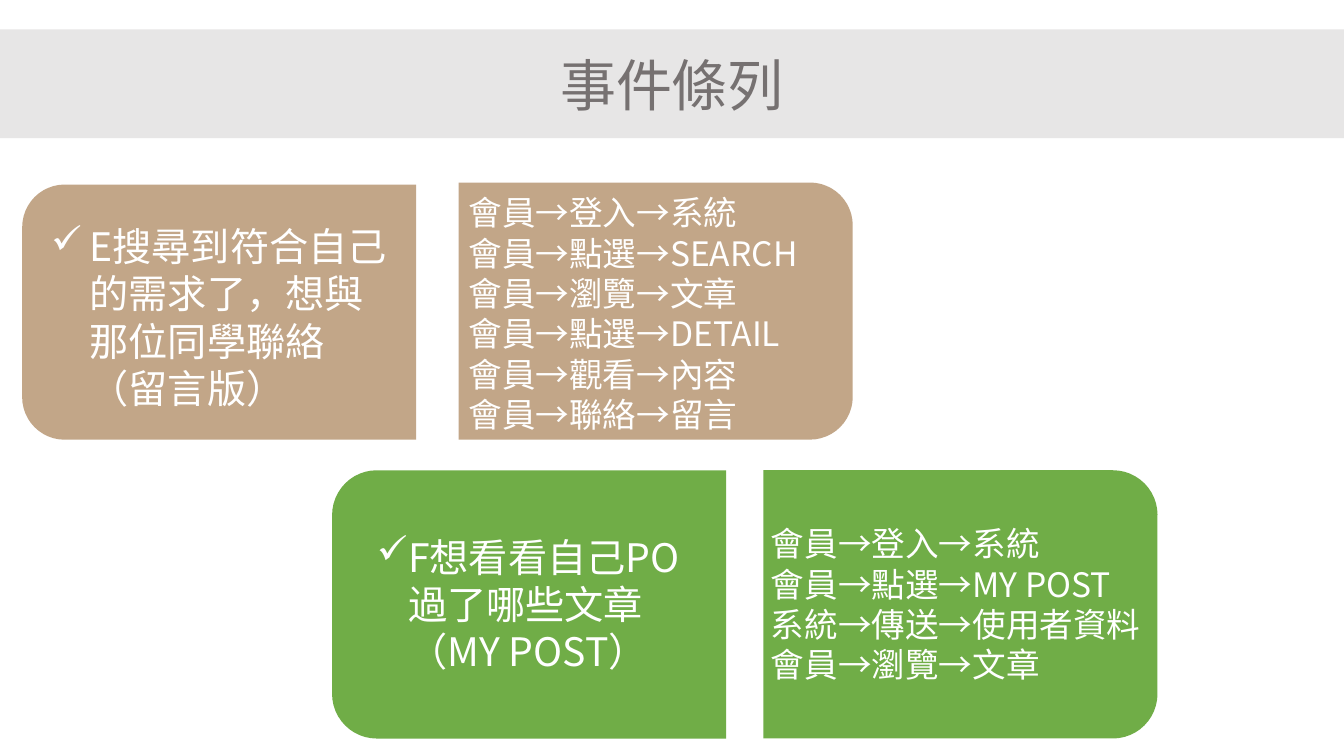
from pptx import Presentation
from pptx.dml.color import RGBColor
from pptx.enum.shapes import MSO_SHAPE
from pptx.enum.text import MSO_ANCHOR, MSO_AUTO_SIZE, PP_ALIGN
from pptx.oxml.ns import qn
from pptx.util import Cm, Pt
from lxml import etree

RECT = MSO_SHAPE.RECTANGLE
ROUND = MSO_SHAPE.ROUND_2_SAME_RECTANGLE
MIDDLE = MSO_ANCHOR.MIDDLE
CENTER = PP_ALIGN.CENTER
GROW = MSO_AUTO_SIZE.SHAPE_TO_FIT_TEXT

WHITE, GRAY, DARK = "FFFFFF", "E7E6E6", "767171"
TAN, GREEN = "C2A688", "70AD47"
WIDTH = 9.93


def color(value):
    return RGBColor.from_string(value)


class Deck:
    font = "Noto Sans CJK SC"

    def __init__(self):
        self.prs = Presentation()
        self.prs.slide_width = Cm(33.87)
        self.prs.slide_height = Cm(19.05)
        self.slide = self.prs.slides.add_slide(self.prs.slide_layouts[6])

    def shape(self, kind, box, fill):
        item = self.slide.shapes.add_shape(kind, *map(Cm, box))
        item.shadow.inherit = False
        item.fill.solid()
        item.fill.fore_color.rgb = color(fill)
        item.line.fill.background()
        return item

    def card(self, left, top, height, turn, fill):
        shift = (WIDTH - height) / 2
        item = self.shape(ROUND, (left + shift, top - shift, height, WIDTH), fill)
        item.rotation = turn

    def style(self, para, text, size, tint):
        run = para.add_run()
        run.text = text
        look = {"name": self.font, "size": Pt(size)}
        for key, value in look.items():
            setattr(run.font, key, value)
        run.font.color.rgb = color(tint)
        face = etree.SubElement(run.font._element, qn("a:ea"))
        face.set("typeface", self.font)

    def bullet(self, para, indent):
        props = para._p.get_or_add_pPr()
        props.set("marL", str(Cm(indent)))
        props.set("indent", str(-Cm(indent)))
        mark = etree.SubElement(props, qn("a:buChar"))
        mark.set("char", "✓")

    def title(self, box, text):
        frame = self.shape(RECT, box, GRAY).text_frame
        frame.vertical_anchor = MIDDLE
        para = frame.paragraphs[0]
        para.alignment = CENTER
        self.style(para, text, 40, DARK)

    def text(self, box, lines, size, indent=0):
        frame = self.slide.shapes.add_textbox(*map(Cm, box)).text_frame
        frame.word_wrap = True
        frame.auto_size = GROW
        for index, line in enumerate(lines):
            para = frame.add_paragraph() if index else frame.paragraphs[0]
            if indent:
                self.bullet(para, indent)
            para.line_spacing = Pt(size * 1.2)
            self.style(para, line, size, WHITE)


def main():
    deck = Deck()
    deck.title((0, 0.74, 33.87, 2.74), "事件條列")

    deck.card(11.56, 4.6, 6.48, 90, TAN)
    deck.card(0.56, 4.65, 6.43, 270, TAN)
    deck.text((1.04, 5.49, 9.02, 5.05),
              ["E搜尋到符合自己的需求了，想與那位同學聯絡（留言版）"], 28, 0.97)
    deck.text((11.56, 4.72, WIDTH, 6.4),
              ["會員→登入→系統", "會員→點選→SEARCH", "會員→瀏覽→文章",
               "會員→點選→DETAIL", "會員→觀看→內容", "會員→聯絡→留言"], 24)

    deck.card(8.37, 11.85, 6.76, 270, GREEN)
    deck.card(19.24, 11.85, 6.76, 90, GREEN)
    deck.text((9.25, 13.31, 8.2, 3.84),
              ["F想看看自己PO過了哪些文章（MY POST）"], 28, 0.79)
    deck.text((19.18, 13.06, WIDTH, 4.37),
              ["會員→登入→系統", "會員→點選→MY POST",
               "系統→傳送→使用者資料", "會員→瀏覽→文章"], 24)

    deck.prs.save("out.pptx")


if __name__ == "__main__":
    main()
